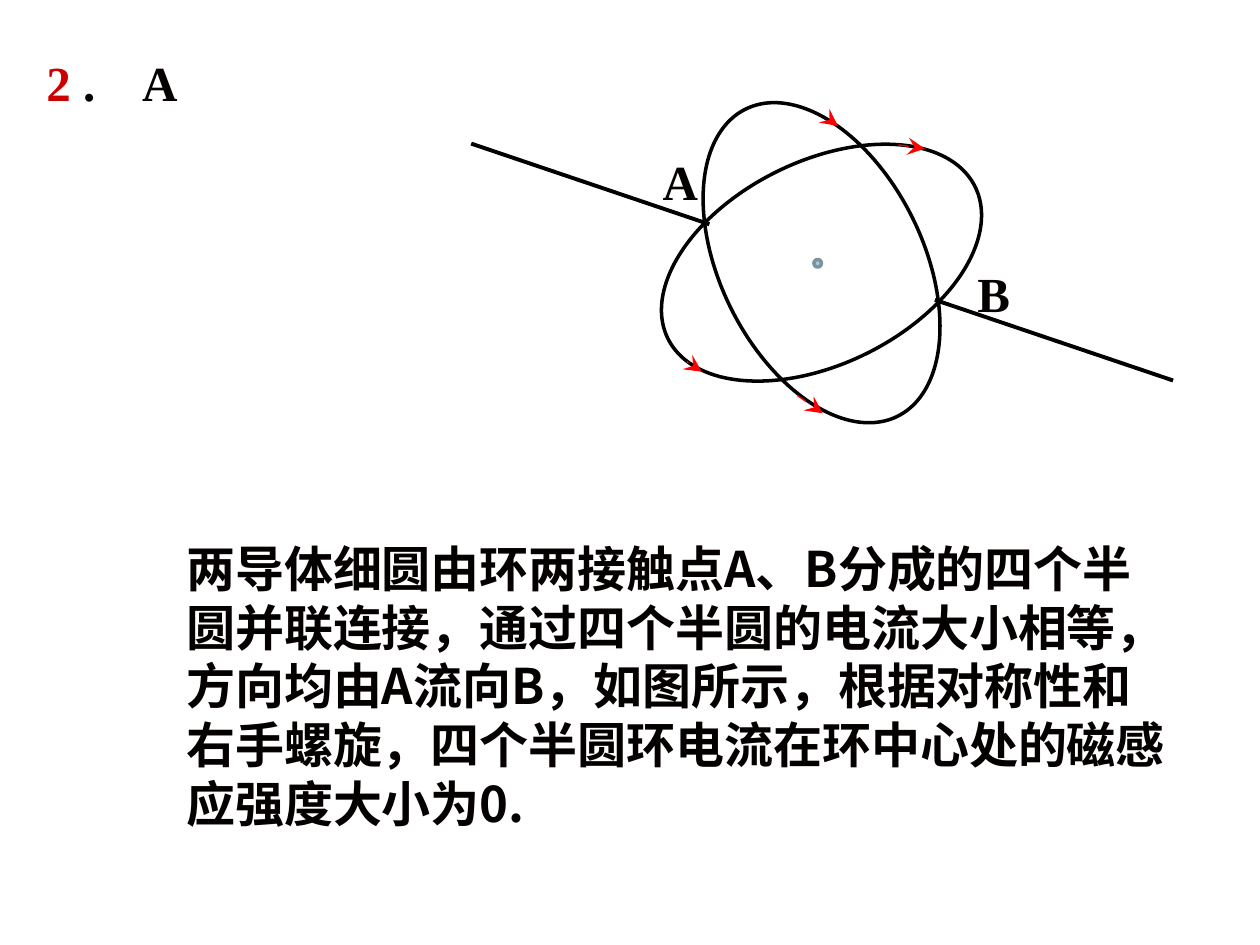
from lxml.etree import SubElement
from pptx import Presentation
from pptx.dml.color import RGBColor
from pptx.enum.dml import MSO_LINE
from pptx.enum.shapes import MSO_CONNECTOR, MSO_SHAPE
from pptx.enum.text import MSO_ANCHOR
from pptx.oxml.ns import qn
from pptx.util import Pt

PX = 9144  # 100 px to the inch
SERIF, SANS = "Times New Roman", "Noto Sans CJK SC"
INK, RED = "040000", "CC0000"


def paint(fill, color):
    """Make a fill solid in the colour of a hex string."""
    fill.solid()
    fill.fore_color.rgb = RGBColor.from_string(color)


def write(box, runs, face, wrap=True):
    """Add a text box holding one paragraph of (text, colour) runs."""
    frame = slide.shapes.add_textbox(*[n * PX for n in box]).text_frame
    frame.word_wrap = wrap
    para = frame.paragraphs[0]
    for text, color in runs:
        run = para.add_run()
        run.text = text
        run.font.size, run.font.bold, run.font.name = Pt(28), True, face
        paint(run.font.fill, color)
        SubElement(run.font._element, qn("a:ea")).set("typeface", face)
    return frame


prs = Presentation()
prs.slide_width, prs.slide_height = 1000 * PX, 750 * PX
slide = prs.slides.add_slide(prs.slide_layouts[6])

# Two crossed rings and the centre point: left, top, width, height, turn
rings = [(516, 128, 272, 161, 333.7), (516, 128, 272, 161, 63.7)]
for *box, turn in rings + [(646, 206, 6, 6, 0)]:
    oval = slide.shapes.add_shape(MSO_SHAPE.OVAL, *[n * PX for n in box])
    oval.rotation = turn
    oval.shadow.inherit = False
    oval.line.width = Pt(2)
    if turn:
        oval.fill.background()
        paint(oval.line.fill, "000000")
    else:
        paint(oval.fill, "A7CCD9")
        paint(oval.line.fill, "7A959F")

# Leads into A and out of B, then the current arrows
leads = [(374, 114, 563, 178), (742, 238, 931, 302)]
arrows = [(661, 97, 665, 100), (633, 314, 653, 328),
          (545, 287, 557, 295), (713, 115, 734, 118)]
for ends in leads + arrows:
    wire = slide.shapes.add_connector(
        MSO_CONNECTOR.STRAIGHT, *[n * PX for n in ends])
    if ends in leads:
        paint(wire.line.fill, "000000")
        wire.line.width = Pt(2.25)
    else:
        paint(wire.line.fill, "FF0000")
        wire.line.width = Pt(0.75)
        wire.line.dash_style = MSO_LINE.LONG_DASH
        head = SubElement(wire.line._get_or_add_ln(), qn("a:tailEnd"))
        for key, value in (("type", "stealth"), ("w", "lg"), ("len", "lg")):
            head.set(key, value)
    SubElement(wire._element.spPr, qn("a:effectLst"))

# Number and answer, set apart by a tab stop
title = write((27, 37, 160, 57), [("2", RED), (" .\tA", INK)], SERIF)
props = title.paragraphs[0]._p.get_or_add_pPr()
stop = SubElement(SubElement(props, qn("a:tabLst")), qn("a:tab"))
stop.set("pos", str(76 * PX))
stop.set("algn", "l")

reason = write((138, 422, 799, 244), [(
    "两导体细圆由环两接触点A、B分成的四个半圆并联连接，"
    "通过四个半圆的电流大小相等，方向均由A流向B，如图所示，"
    "根据对称性和右手螺旋，四个半圆环电流在环中心处的磁感应强度大小为0.",
    INK)], SANS)
reason.vertical_anchor = MSO_ANCHOR.MIDDLE
para = reason.paragraphs[0]
para.line_spacing = Pt(33.5)
para._p.get_or_add_pPr().set("hangingPunct", "0")

for name, box in (("A", (516, 115, 48, 57)), ("B", (766, 204, 46, 57))):
    write(box, [(name, INK)], SERIF, wrap=False)

prs.save("out.pptx")
